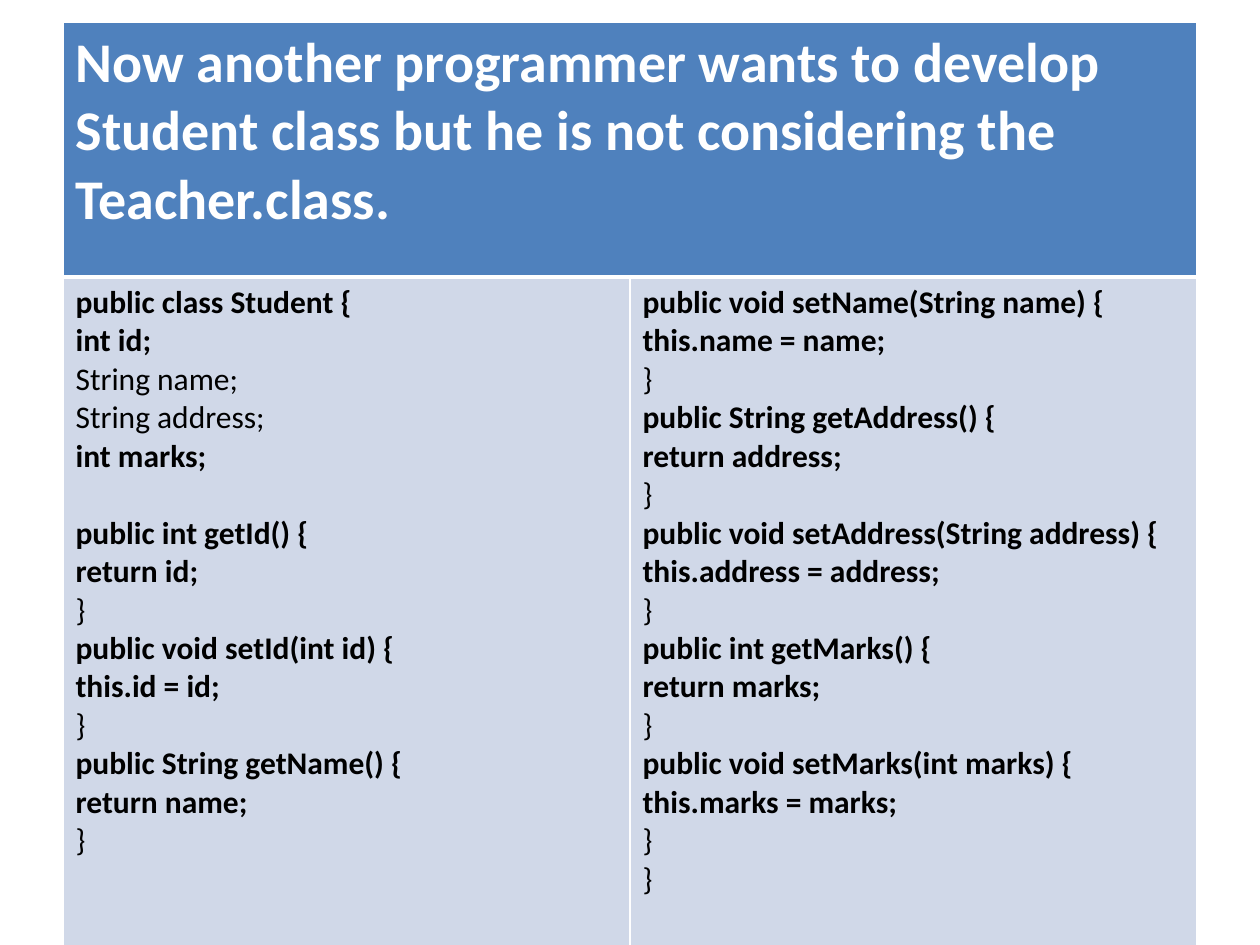
"""Build a slide with a headed two-column table of Java code."""
import pptx
import pptx.dml.color
import pptx.oxml
import pptx.oxml.ns
import pptx.util
from pptx.util import Inches

HEADING = ("Now another programmer wants to develop Student class "
           "but he is not considering the Teacher.class.")
FIELDS_AND_ID = [
    "public class Student {", "int id;", "String name;", "String address;", "int marks;",
    "public int getId() {", "return id;", "}",
    "public void setId(int id) {", "this.id = id;", "}",
    "public String getName() {", "return name;", "}",
]
OTHER_METHODS = [
    "public void setName(String name) {", "this.name = name;", "}",
    "public String getAddress() {", "return address;", "}",
    "public void setAddress(String address) {", "this.address = address;", "}",
    "public int getMarks() {", "return marks;", "}",
    "public void setMarks(int marks) {", "this.marks = marks;", "}", "}",
]


def color(value):
    return pptx.dml.color.RGBColor.from_string(value)


class SlideBuilder:
    font = "Calibri"
    header_fill = "4F81BD"
    body_fill = "D0D8E8"
    white = "FFFFFF"
    black = "000000"

    def __init__(self, slide):
        self.slide = slide

    def table(self, left, top, column_widths, row_heights):
        frame = self.slide.shapes.add_table(
            len(row_heights), len(column_widths), Inches(left), Inches(top),
            Inches(sum(column_widths)), Inches(sum(row_heights)))
        table = frame.table
        for column, width in zip(table.columns, column_widths):
            column.width = Inches(width)
        for row, height in zip(table.rows, row_heights):
            row.height = Inches(height)
        return table

    def cell(self, cell, fill, top_width, bottom_width):
        properties = cell._tc.get_or_add_tcPr()
        sides = {"L": 1, "R": 1, "T": top_width, "B": bottom_width}
        for side, width in sides.items():
            properties.append(pptx.oxml.parse_xml(
                f'<a:ln{side} {pptx.oxml.ns.nsdecls("a")} w="{pptx.util.Pt(width)}">'
                f'<a:solidFill><a:srgbClr val="{self.white}"/></a:solidFill></a:ln{side}>'))
        cell.fill.solid()
        cell.fill.fore_color.rgb = color(fill)

    def paragraph(self, paragraph, text, size, text_color, bold):
        paragraph.text = text
        paragraph.font.name = self.font
        paragraph.font.size = pptx.util.Pt(size)
        paragraph.font.bold = bold
        paragraph.font.color.rgb = color(text_color)

    def code(self, cell, lines, gap_before=None):
        frame = cell.text_frame
        for index, line in enumerate(lines):
            paragraph = frame.add_paragraph() if index else frame.paragraphs[0]
            bold = not line.startswith(("}", "String"))
            self.paragraph(paragraph, line, 18, self.black, bold)
            if line == gap_before:
                paragraph.space_before = pptx.util.Pt(22)


def main():
    presentation = pptx.Presentation()
    presentation.slide_width = Inches(10)
    presentation.slide_height = Inches(7.5)
    builder = SlideBuilder(presentation.slides.add_slide(presentation.slide_layouts[6]))

    table = builder.table(0.5, 0.18, [4.5, 4.5], [2.02, 5.48])
    for column in range(2):
        builder.cell(table.cell(0, column), builder.header_fill, 1, 3)
        builder.cell(table.cell(1, column), builder.body_fill, 3, 1)
    heading = table.cell(0, 0)
    heading.merge(table.cell(0, 1))
    builder.paragraph(heading.text_frame.paragraphs[0], HEADING, 32, builder.white, True)
    builder.code(table.cell(1, 0), FIELDS_AND_ID, gap_before="public int getId() {")
    builder.code(table.cell(1, 1), OTHER_METHODS)

    presentation.save("out.pptx")


if __name__ == "__main__":
    main()
